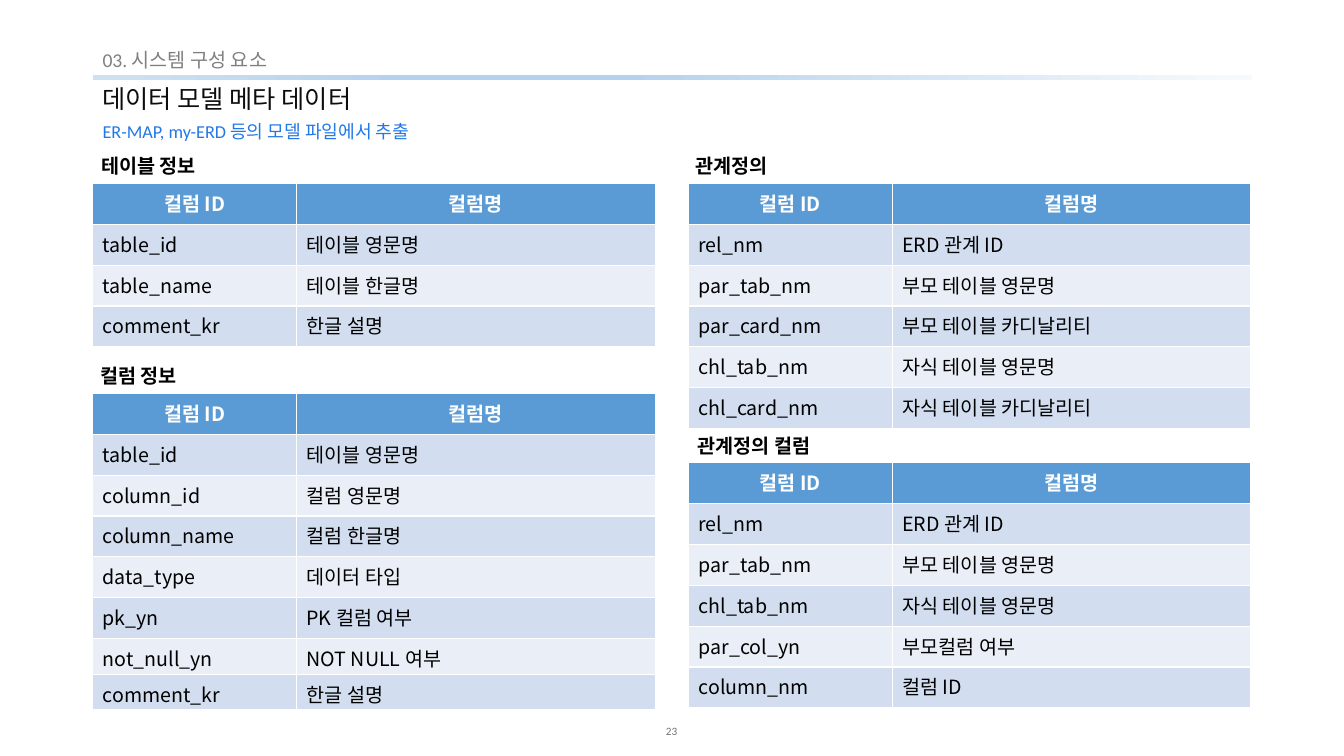
"""Build the slide that lists the metadata tables of a data model."""
from dataclasses import dataclass

from pptx import Presentation
from pptx.dml.color import RGBColor
from pptx.enum.shapes import MSO_SHAPE as Shape
from pptx.enum.text import MSO_ANCHOR as Anchor, MSO_AUTO_SIZE as Auto, PP_ALIGN as Align
from pptx.oxml import parse_xml
from pptx.oxml.ns import nsdecls, qn
from pptx.slide import Slide
from pptx.util import Pt

WHITE = RGBColor(0xFF, 0xFF, 0xFF)
BLACK = RGBColor(0, 0, 0)
INK = RGBColor(0x0D, 0x0D, 0x0D)
GRAY = RGBColor(0x80, 0x80, 0x80)
DIM = RGBColor(0x76, 0x71, 0x71)
LINK = RGBColor(0x22, 0x78, 0xE7)
HEAD = RGBColor(0x5B, 0x9B, 0xD5)
BANDS = RGBColor(0xD2, 0xDE, 0xEF), RGBColor(0xEA, 0xEF, 0xF7)
FADE = (
    (0, RGBColor(0xF7, 0xFA, 0xFD)),
    (54, RGBColor(0xB5, 0xD2, 0xEC)),
    (73, RGBColor(0xB5, 0xD2, 0xEC)),
    (100, RGBColor(0xCE, 0xE1, 0xF2)),
)

LATIN = "Calibri"
GOTHIC = "Noto Sans CJK KR"
LEFT, RIGHT, WIDE = 66.2, 491.8, 828
COLS = 145.6, 256.2
ROW, LOW = 29.2, 25.4
TAG = 24.4
TITLES = "컬럼 ID", "컬럼명"


@dataclass(frozen=True)
class Text:
    """A line of text with its box and look."""
    text: str
    left: float
    top: float
    width: float
    height: float
    size: float
    color: RGBColor
    bold: bool = False
    align: Align = Align.LEFT
    anchor: Anchor = Anchor.TOP
    inset: float = 7.2
    base: float = 3.6
    lead: float = 1
    before: float = 0
    wrap: bool = True


@dataclass(frozen=True)
class Grid:
    """A labelled table of column names."""
    label: str
    span: float
    left: float
    top: float
    rows: tuple[tuple[str, str], ...]
    low: int = 0


TEXTS = (
    Text("23", 465.8, 509, 28, 28.8, 8, DIM, align=Align.CENTER,
         anchor=Anchor.MIDDLE, inset=0, base=5.8),
    Text("03. 시스템 구성 요소", LEFT, 32.4, WIDE, 23, 14, GRAY, lead=0.9, before=10),
    Text("데이터 모델 메타 데이터", LEFT, 57.6, WIDE, 27.4, 18, INK,
         anchor=Anchor.MIDDLE, lead=0.9),
    Text("ER-MAP, my-ERD 등의 모델 파일에서 추출", LEFT, 84.2, WIDE, 20.2, 13, LINK,
         lead=0.9, before=10),
)

GRIDS = (
    Grid("테이블 정보", 80, LEFT, 131, (
        ("table_id", "테이블 영문명"),
        ("table_name", "테이블 한글명"),
        ("comment_kr", "한글 설명"),
    )),
    Grid("관계정의", 62, RIGHT, 131, (
        ("rel_nm", "ERD 관계 ID"),
        ("par_tab_nm", "부모 테이블 영문명"),
        ("par_card_nm", "부모 테이블 카디날리티"),
        ("chl_tab_nm", "자식 테이블 영문명"),
        ("chl_card_nm", "자식 테이블 카디날리티"),
    )),
    Grid("컬럼 정보", 65.6, LEFT, 281, (
        ("table_id", "테이블 영문명"),
        ("column_id", "컬럼 영문명"),
        ("column_name", "컬럼 한글명"),
        ("data_type", "데이터 타입"),
        ("pk_yn", "PK 컬럼 여부"),
        ("not_null_yn", "NOT NULL 여부"),
        ("comment_kr", "한글 설명"),
    ), low=2),
    Grid("관계정의 컬럼", 93.6, RIGHT, 330.5, (
        ("rel_nm", "ERD 관계 ID"),
        ("par_tab_nm", "부모 테이블 영문명"),
        ("chl_tab_nm", "자식 테이블 영문명"),
        ("par_col_yn", "부모컬럼 여부"),
        ("column_nm", "컬럼 ID"),
    )),
)


def style(para, font: str, size: float, color: RGBColor, bold: bool, align: Align) -> None:
    """Set the look of one paragraph."""
    para.alignment = align
    para.font.name = font
    para.font.size = Pt(size)
    para.font.bold = bold
    para.font.color.rgb = color


def add_text(slide: Slide, item: Text) -> None:
    """Draw one line of text."""
    box = slide.shapes.add_textbox(
        Pt(item.left), Pt(item.top), Pt(item.width), Pt(item.height))
    frame = box.text_frame
    frame.word_wrap = item.wrap
    frame.auto_size = Auto.NONE if item.wrap else Auto.SHAPE_TO_FIT_TEXT
    frame.vertical_anchor = item.anchor
    frame.margin_left = frame.margin_right = Pt(item.inset)
    frame.margin_top, frame.margin_bottom = Pt(3.6), Pt(item.base)
    para = frame.paragraphs[0]
    para.text = item.text
    para.line_spacing = item.lead
    para.space_before = Pt(item.before)
    style(para, LATIN, item.size, item.color, item.bold, item.align)


def add_rule(slide: Slide) -> None:
    """Draw the fading rule under the section name."""
    rule = slide.shapes.add_shape(Shape.RECTANGLE, Pt(LEFT), Pt(53.5), Pt(WIDE), Pt(3.6))
    rule.shadow.inherit = False
    rule.line.fill.background()
    rule.fill.gradient()
    rule.fill.gradient_angle = 180
    stops = next(rule.element.iter(qn("a:gsLst")))
    for stop in list(stops):
        stops.remove(stop)
    for place, color in FADE:
        stops.append(parse_xml(
            f'<a:gs {nsdecls("a")} pos="{place * 1000}"><a:srgbClr val="{color}"/></a:gs>'))


def add_grid(slide: Slide, grid: Grid) -> None:
    """Draw one table and the label above it."""
    rows = (TITLES, *grid.rows)
    sizes = [ROW] * (len(rows) - grid.low) + [LOW] * grid.low
    table = slide.shapes.add_table(
        len(rows), len(COLS), Pt(grid.left), Pt(grid.top),
        Pt(sum(COLS)), Pt(sum(sizes))).table
    for col, width in zip(table.columns, COLS):
        col.width = Pt(width)
    for i, (names, size) in enumerate(zip(rows, sizes)):
        table.rows[i].height = Pt(size)
        top = i == 0
        for j, name in enumerate(names):
            cell = table.cell(i, j)
            cell.margin_bottom = Pt(1)
            cell.fill.solid()
            cell.fill.fore_color.rgb = HEAD if top else BANDS[(i - 1) % 2]
            para = cell.text_frame.paragraphs[0]
            para.text = name
            style(para, GOTHIC, 14, WHITE if top else BLACK, top,
                  Align.CENTER if top else Align.LEFT)
    add_text(slide, Text(grid.label, grid.left, grid.top - TAG, grid.span, TAG, 14, BLACK,
                         bold=True, align=Align.CENTER, inset=2.8, wrap=False))


def main() -> None:
    """Build and save the deck."""
    deck = Presentation()
    deck.slide_width, deck.slide_height = Pt(960), Pt(540)
    slide = deck.slides.add_slide(deck.slide_layouts[6])
    add_rule(slide)
    for item in TEXTS:
        add_text(slide, item)
    for grid in GRIDS:
        add_grid(slide, grid)
    deck.save("out.pptx")


if __name__ == "__main__":
    main()
